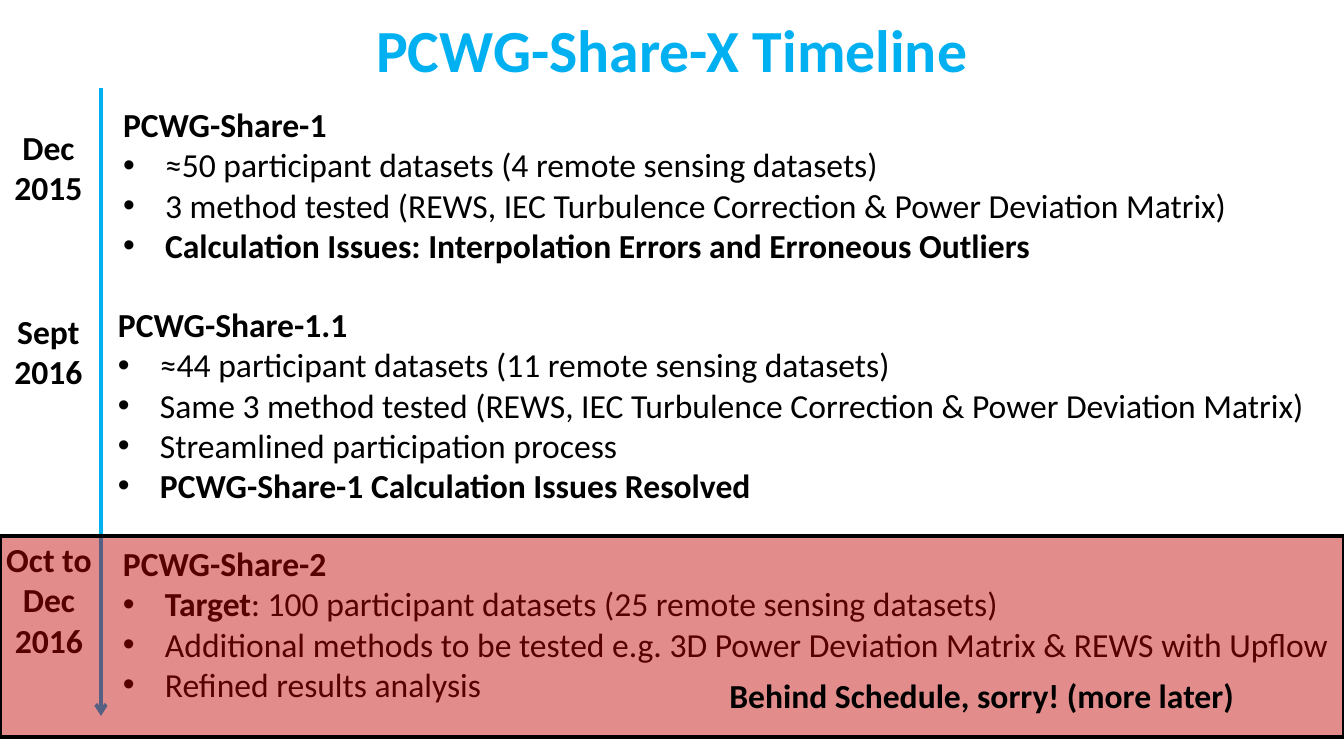
from lxml import etree
from pptx import Presentation
from pptx.dml.color import RGBColor
from pptx.enum.shapes import MSO_CONNECTOR, MSO_SHAPE
from pptx.enum.text import MSO_ANCHOR, PP_ALIGN
from pptx.oxml.ns import qn
from pptx.util import Pt

LINE, RECT = MSO_CONNECTOR.STRAIGHT, MSO_SHAPE.RECTANGLE
LEFT, CENTER = PP_ALIGN.LEFT, PP_ALIGN.CENTER
TOP, MIDDLE = MSO_ANCHOR.TOP, MSO_ANCHOR.MIDDLE
BLUE = RGBColor(0x00, 0xB0, 0xF0)
BLACK = RGBColor(0x00, 0x00, 0x00)
RED = RGBColor(0xC0, 0x00, 0x00)
FONT = "Calibri"
SCALE = 914400 / 134.4
WIDTH, HEIGHT = 1344, 756
INDENT = 42

# Each line is a list of (words, bold) parts.
TITLE = [[("PCWG-Share-X Timeline", True)]]
NOTE = [[("Behind Schedule, sorry! (more later)", True)]]
STAGES = [
    {
        "date": [[("Dec 2015", True)]],
        "date_at": (-4, 120, 105, 95),
        "at": (110, 97, 1214, 176),
        "lines": [
            [("PCWG-Share-1", True)],
            [("≈50 participant datasets (4 remote sensing datasets)", False)],
            [("3 method tested (REWS, IEC Turbulence Correction & Power Deviation Matrix)", False)],
            [("Calculation Issues: Interpolation Errors and Erroneous Outliers", True)],
        ],
    },
    {
        "date": [[("Sept\n2016", True)]],
        "date_at": (-4, 304, 105, 95),
        "at": (105, 297, 1239, 218),
        "lines": [
            [("PCWG-Share-1.1", True)],
            [("≈44 participant datasets (11 remote sensing datasets)", False)],
            [("Same 3 method tested (REWS, IEC Turbulence Correction & Power Deviation Matrix)", False)],
            [("Streamlined participation process", False)],
            [("PCWG-Share-1 Calculation Issues Resolved", True)],
        ],
    },
    {
        "date": [[("Oct to", True)], [("Dec", True)], [("2016", True)]],
        "date_at": (-8, 532, 114, 136),
        "at": (110, 536, 1239, 176),
        "lines": [
            [("PCWG-Share-2", True)],
            [("Target", True), (": 100 participant datasets (25 remote sensing datasets)", False)],
            [("Additional methods to be tested e.g. 3D Power Deviation Matrix & REWS with Upflow", False)],
            [("Refined results analysis", False)],
        ],
    },
]


def px(n):
    return round(n * SCALE)


def add_bullet(para):
    props = para._p.get_or_add_pPr()
    props.set("marL", str(px(INDENT)))
    props.set("indent", str(-px(INDENT)))
    etree.SubElement(props, qn("a:buFont"), typeface="Arial")
    etree.SubElement(props, qn("a:buChar"), char="•")


def add_text(lines, at, size=18, color=BLACK, align=LEFT, anchor=TOP,
             inset=(13, 7), bullets=False):
    """Write lines in a box; with bullets, all but the first line get one."""
    frame = slide.shapes.add_textbox(*map(px, at)).text_frame
    frame.word_wrap = True
    frame.vertical_anchor = anchor
    frame.margin_left = frame.margin_right = px(inset[0])
    frame.margin_top = frame.margin_bottom = px(inset[1])
    for i, line in enumerate(lines):
        para = frame.paragraphs[0] if i == 0 else frame.add_paragraph()
        para.alignment = align
        if bullets and i:
            add_bullet(para)
        for words, bold in line:
            for j, piece in enumerate(words.split("\n")):
                if j:
                    para.add_line_break()
                run = para.add_run()
                run.text = piece
                font = run.font
                font.name, font.size, font.bold = FONT, Pt(size), bold
                font.color.rgb = color


def add_arrow(start, end):
    arrow = slide.shapes.add_connector(LINE, *map(px, start + end))
    arrow.line.color.rgb = BLUE
    arrow.line.width = Pt(2)
    etree.SubElement(arrow.line._get_or_add_ln(), qn("a:tailEnd"), type="arrow")
    etree.SubElement(arrow._element.spPr, qn("a:effectLst"))


def add_band(at):
    """Lay a see-through red band over the current stage."""
    band = slide.shapes.add_shape(RECT, *map(px, at))
    band.shadow.inherit = False
    band.fill.solid()
    band.fill.fore_color.rgb = RED
    tint = band._element.spPr.find(qn("a:solidFill"))[0]
    etree.SubElement(tint, qn("a:alpha"), val="45000")
    band.line.color.rgb = BLACK
    band.line.width = Pt(2)


deck = Presentation()
deck.slide_width, deck.slide_height = px(WIDTH), px(HEIGHT)
slide = deck.slides.add_slide(deck.slide_layouts[6])

add_text(TITLE, (0, 22, WIDTH, 54), size=32, color=BLUE, align=CENTER,
         anchor=MIDDLE, inset=(19, 9))
add_arrow((101, 88), (101, 716))
for stage in STAGES:
    add_text(stage["date"], stage["date_at"], align=CENTER)
    add_text(stage["lines"], stage["at"], bullets=True)
add_band((0, 536, WIDTH, 201))
add_text(NOTE, (685, 668, 594, 54), align=CENTER)

deck.save("out.pptx")
